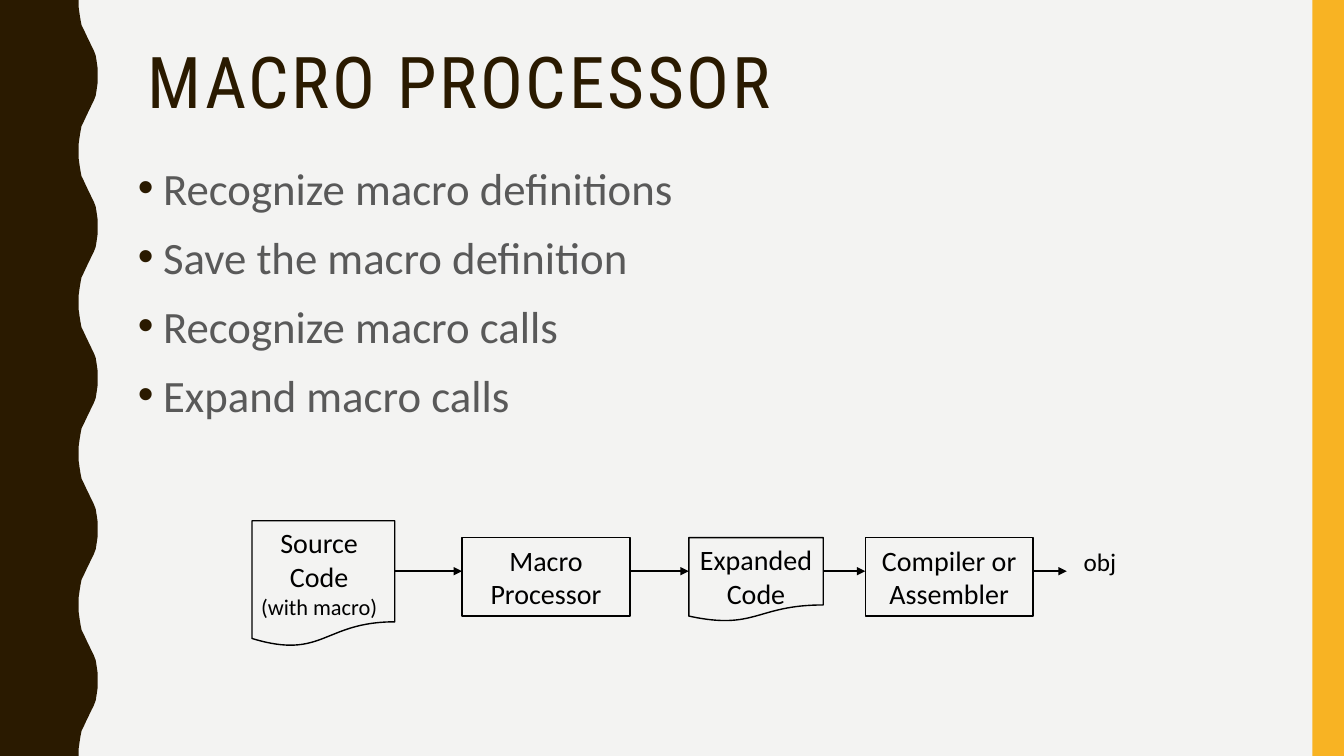
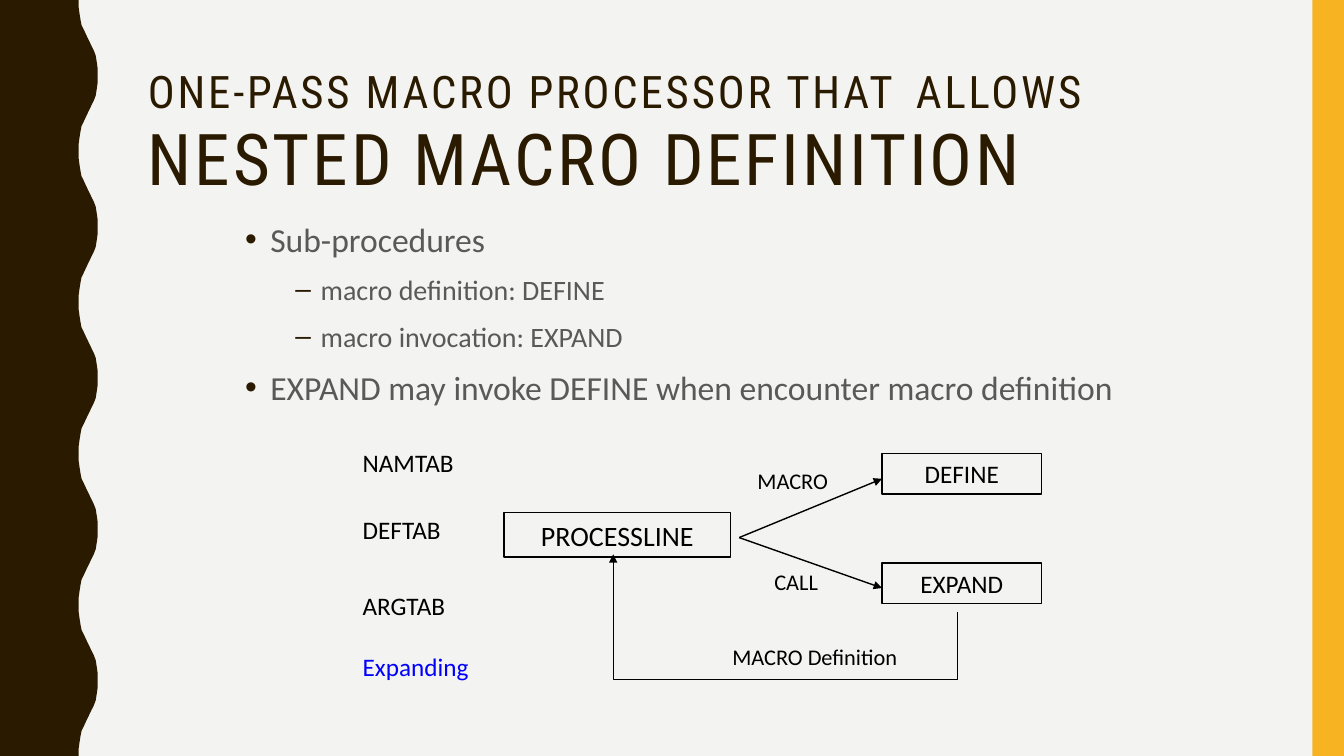
"""Build two slides about macro processors."""
import collections

import lxml.etree
import pptx
import pptx.dml.color
import pptx.enum.shapes
import pptx.enum.text
import pptx.oxml.ns
import pptx.util

Pt = pptx.util.Pt
RGB = pptx.dml.color.RGBColor
SHAPE = pptx.enum.shapes.MSO_SHAPE
CONNECTOR = pptx.enum.shapes.MSO_CONNECTOR
ALIGN = pptx.enum.text.PP_ALIGN
ANCHOR = pptx.enum.text.MSO_ANCHOR
qn = pptx.oxml.ns.qn

PAPER = RGB(0xF3, 0xF3, 0xF2)
BROWN = RGB(0x2A, 0x1A, 0x00)
AMBER = RGB(0xF8, 0xB3, 0x23)
GRAY = RGB(0x59, 0x59, 0x59)
BLACK = RGB(0x00, 0x00, 0x00)
BLUE = RGB(0x00, 0x00, 0xFF)

TITLE_FONT = "Roboto Condensed"
BODY_FONT = "Calibri"
Box = collections.namedtuple("Box", "left top width height")

PAGE = Box(0, 0, 960, 540)
TITLE = Box(98.6, 30.2, 801.4, 117.4)
HALF_WAVE = [(56.2, 0), (56.2, 5), (56.9, 10), (57.6, 14.4), (58.3, 18),
             (59.8, 21), (61.2, 24), (62.6, 27), (64.1, 30), (65.5, 33),
             (67, 36), (68.4, 39.6), (69.1, 44), (69.8, 49), (69.8, 54)]
HALF_PERIOD = 54


def inside(box, left, top, width, height):
    """Return a box given relative to the corner of another box."""
    return Box(box.left + left, box.top + top, width, height)


def add_child(parent, tag, **attributes):
    """Append an XML element with the given attributes and return it."""
    child = lxml.etree.SubElement(parent, qn(tag))
    for name, value in attributes.items():
        child.set(name, str(value))
    return child


def write(frame, text, size=18, color=BLACK, font=BODY_FONT, align=ALIGN.LEFT,
          line_spacing=None, before=0, tracking=0, bullet=None, indent=0):
    """Add a paragraph of plain text or of (text, size) spans."""
    para = frame.add_paragraph() if frame.text else frame.paragraphs[0]
    para.alignment = align
    para.line_spacing = line_spacing
    para.space_before = Pt(before)
    if bullet:
        properties = para._p.get_or_add_pPr()
        properties.set("marL", str(Pt(indent)))
        properties.set("indent", str(Pt(-18)))
        bullet_color = add_child(properties, "a:buClr")
        add_child(bullet_color, "a:srgbClr", val=BROWN)
        add_child(properties, "a:buFont", typeface="Arial")
        add_child(properties, "a:buChar", char=bullet)
    for words, span_size in [(text, size)] if isinstance(text, str) else text:
        span = para.add_run()
        span.text = words
        span.font.size = Pt(span_size)
        span.font.name = font
        span.font.color.rgb = color
        if tracking:
            span._r.get_or_add_rPr().set("spc", str(tracking * 100))


def add_text_box(page, box, wrap=True):
    """Add an empty text box and return its text frame."""
    frame = page.shapes.add_textbox(*map(Pt, box)).text_frame
    frame.word_wrap = wrap
    return frame


def add_label(page, box, text, **style):
    """Add a text box of one line that does not wrap."""
    write(add_text_box(page, box, wrap=False), text, **style)


def paint(shape, color):
    """Fill a shape with one colour, without line or shadow."""
    shape.shadow.inherit = False
    shape.fill.solid()
    shape.fill.fore_color.rgb = color
    shape.line.fill.background()


def add_outline(page, kind, box, text="", size=20):
    """Add a hollow black shape, with centred text if given."""
    shape = page.shapes.add_shape(kind, *map(Pt, box))
    shape.shadow.inherit = False
    shape.fill.background()
    shape.line.color.rgb = BLACK
    shape.line.width = Pt(1)
    if text:
        shape.text_frame.word_wrap = True
        shape.text_frame.vertical_anchor = ANCHOR.MIDDLE
        write(shape.text_frame, text, size=size, align=ALIGN.CENTER)


def add_arrow(page, start, end, kind=CONNECTOR.STRAIGHT):
    """Add a black connector with an arrowhead at its end."""
    arrow = page.shapes.add_connector(kind, *map(Pt, start + end))
    arrow.line.color.rgb = BLACK
    arrow.line.width = Pt(1)
    add_child(arrow.line._get_or_add_ln(), "a:tailEnd", type="triangle")
    add_child(arrow.element.spPr, "a:effectLst")
    return arrow


def add_loop_arrow(page, start, end, drop):
    """Add an arrow that drops below its start, runs left and rises to its end."""
    rise, run = start[1] - end[1], start[0] - end[0]
    middle_x, middle_y = (start[0] + end[0]) / 2, (start[1] + end[1]) / 2
    arrow = add_arrow(page, (middle_x - rise / 2, middle_y + run / 2),
                      (middle_x + rise / 2, middle_y - run / 2), CONNECTOR.ELBOW)
    properties = arrow.element.spPr
    properties.find(qn("a:xfrm")).set("rot", str(270 * 60000))
    geometry = properties.find(qn("a:prstGeom"))
    adjustments = geometry.find(qn("a:avLst"))
    if adjustments is None:
        adjustments = add_child(geometry, "a:avLst")
    add_child(adjustments, "a:gd", name="adj1",
              fmla=f"val {round(-100000 * drop / rise)}")


def add_wave_band(page, box):
    """Add the brown band with a wavy right edge."""
    edge = []
    for half in range(box.height // HALF_PERIOD):
        for x, y in HALF_WAVE if half % 2 == 0 else reversed(HALF_WAVE):
            step = y if half % 2 == 0 else HALF_PERIOD - y
            edge.append((Pt(box.left + x), Pt(box.top + half * HALF_PERIOD + step)))
    builder = page.shapes.build_freeform(Pt(box.left), Pt(box.top))
    builder.add_line_segments(edge + [(Pt(box.left), Pt(box.top + box.height))])
    paint(builder.convert_to_shape(), BROWN)


def add_page(deck, title):
    """Add a page with its background, side bands and title."""
    page = deck.slides.add_slide(deck.slide_layouts[6])
    page.background.fill.solid()
    page.background.fill.fore_color.rgb = PAPER
    add_wave_band(page, PAGE)
    stripe = inside(PAGE, 937.5, 0, 22.5, PAGE.height)
    paint(page.shapes.add_shape(SHAPE.RECTANGLE, *map(Pt, stripe)), AMBER)
    write(add_text_box(page, TITLE), title, size=51, color=BROWN,
          font=TITLE_FONT, line_spacing=0.9, tracking=2)
    return page


def add_bullets(page, box, items):
    """Add a list of (level, text, size) items."""
    frame = add_text_box(page, box)
    for level, text, size in items:
        write(frame, text, size=size, color=GRAY, align=ALIGN.JUSTIFY,
              line_spacing=1.1, before=7, bullet="•–"[level],
              indent=18 + 36 * level)


def add_pipeline(page, box):
    """Draw the stages from source code to object code."""
    source = inside(box, 0, 0, 102, 90)
    processor = inside(box, 150, 12, 120, 56)
    expanded = inside(box, 312, 12, 96, 60)
    compiler = inside(box, 438, 12, 120, 56)
    result = inside(box, 587, 15, 38, 29)

    source_text = add_text_box(page, inside(box, -6, 0, 108, 74))
    write(source_text, "Source Code", size=20, align=ALIGN.CENTER)
    write(source_text, "(with macro)", size=16, align=ALIGN.CENTER)
    write(add_text_box(page, expanded), "Expanded Code", size=20, align=ALIGN.CENTER)
    for document in (source, expanded):
        add_outline(page, SHAPE.FLOWCHART_DOCUMENT, document)
    add_outline(page, SHAPE.RECTANGLE, processor, "Macro Processor")
    add_outline(page, SHAPE.RECTANGLE, compiler, "Compiler or Assembler")
    add_label(page, result, "obj")

    stages = [source, processor, expanded, compiler]
    ends = [stage.left for stage in stages[1:]] + [result.left - 5]
    for stage, end in zip(stages, ends):
        add_arrow(page, (stage.left + stage.width, box.top + 36), (end, box.top + 36))


def add_tables_list(page, box):
    """List the tables and the flag that the processor uses."""
    add_label(page, inside(box, 0, 0, 80, 29), "NAMTAB")
    add_label(page, inside(box, 0, 48, 71, 29), "DEFTAB")
    frame = add_text_box(page, inside(box, 0, 102, 92, 72), wrap=False)
    write(frame, "ARGTAB")
    write(frame, "Expanding", color=BLUE, before=22)


def add_call_graph(page, box):
    """Draw how PROCESSLINE, DEFINE and EXPAND call each other."""
    add_outline(page, SHAPE.RECTANGLE, inside(box, 0, 50, 162, 32), "PROCESSLINE")
    for name, top in (("DEFINE", 8), ("EXPAND", 86)):
        add_outline(page, SHAPE.RECTANGLE, inside(box, 270, top, 114, 29), name, size=18)
        add_arrow(page, (box.left + 168, box.top + 68),
                  (box.left + 270, box.top + top + 18))
    add_loop_arrow(page, (box.left + 324, box.top + 121),
                   (box.left + 78, box.top + 80), drop=48.5)
    add_label(page, inside(box, 174, 14, 66, 27), "MACRO", size=16)
    add_label(page, inside(box, 186, 86, 46, 27), "CALL", size=16)
    add_label(page, inside(box, 155, 140, 134, 27), "MACRO Definition",
              size=16, align=ALIGN.CENTER)


def build_processor_page(deck):
    """Build the page on the tasks of a macro processor."""
    page = add_page(deck, "MACRO PROCESSOR")
    tasks = ["Recognize macro definitions", "Save the macro definition",
             "Recognize macro calls", "Expand macro calls"]
    add_bullets(page, Box(91.4, 107.3, 801.4, 283), [(0, task, 32) for task in tasks])
    add_pipeline(page, Box(180, 372, 625, 90))


def build_nested_page(deck):
    """Build the page on nested macro definitions."""
    page = add_page(deck, [("ONE-PASS MACRO PROCESSOR THAT", 32), (" ", 51),
                           ("ALLOWS ", 32), ("NESTED MACRO DEFINITION", 51)])
    add_bullets(page, Box(168, 150, 695, 108), [
        (0, "Sub-procedures", 24),
        (1, "macro definition: DEFINE", 20),
        (1, "macro invocation: EXPAND", 20),
        (0, "EXPAND may invoke DEFINE when encounter macro definition", 24)])
    add_tables_list(page, Box(252, 316, 92, 174))
    add_call_graph(page, Box(360, 316, 384, 174))


def main():
    """Build and save the deck."""
    deck = pptx.Presentation()
    deck.slide_width, deck.slide_height = Pt(PAGE.width), Pt(PAGE.height)
    build_processor_page(deck)
    build_nested_page(deck)
    deck.save("out.pptx")


main()
